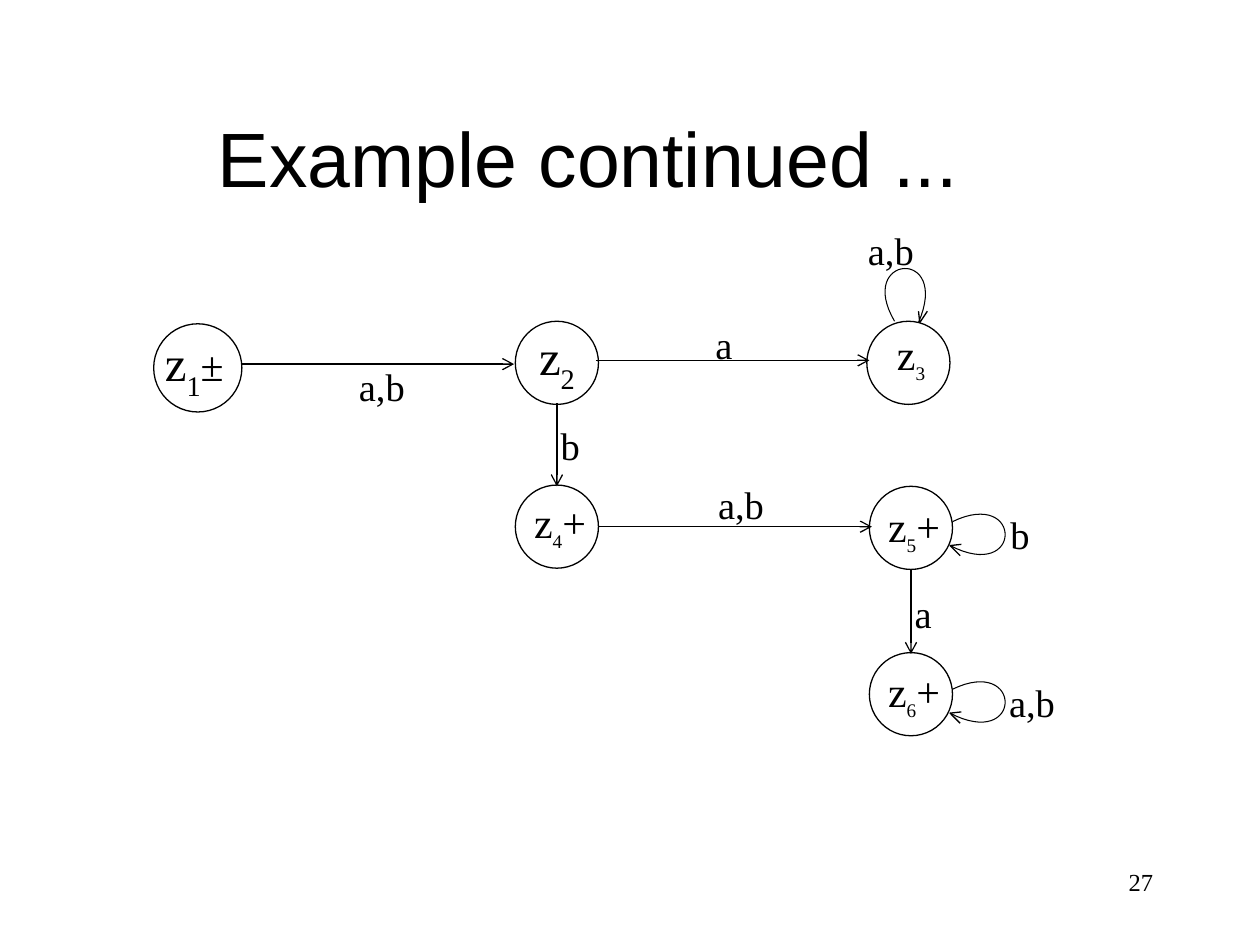
"""Build the slide that shows a six-state automaton."""
import dataclasses

import lxml.etree
import pptx
import pptx.dml.color
import pptx.enum.shapes
import pptx.enum.text
import pptx.oxml.ns
import pptx.util

Inches = pptx.util.Inches
Pt = pptx.util.Pt
Align = pptx.enum.text.PP_ALIGN


@dataclasses.dataclass(frozen=True)
class Theme:
    """Hold the colours, fonts and sizes."""
    ink: pptx.dml.color.RGBColor = pptx.dml.color.RGBColor(0, 0, 0)
    paper: pptx.dml.color.RGBColor = pptx.dml.color.RGBColor(255, 255, 255)
    head: str = "Arial"
    body: str = "Times New Roman"
    title: int = 44
    big: int = 28
    state: int = 24
    label: int = 22
    sub: int = 19
    page: int = 14
    line: float = 0.75
    loop: float = 0.6


class Board:
    """Draw styled elements on the current slide."""

    def __init__(self, theme, slide):
        """Keep the theme and the slide."""
        self.theme = theme
        self.slide = slide
        self.shapes = slide.shapes

    def run(self, para, text, size, font=None, low=False):
        """Add one run, lowered if it is a subscript."""
        run = para.add_run()
        run.text = text
        run.font.size = Pt(size)
        run.font.name = font or self.theme.body
        run.font.color.rgb = self.theme.ink
        if low:
            run.font._element.set("baseline", "-30000")

    def stroke(self, line, width):
        """Style an outline."""
        line.color.rgb = self.theme.ink
        line.width = Pt(width)

    def title(self, text):
        """Fill and place the title."""
        shape = self.shapes.title
        shape.left, shape.top = Inches(0.42), Inches(0.25)
        shape.width, shape.height = Inches(8.5), Inches(1.25)
        frame = shape.text_frame
        frame.auto_size = pptx.enum.text.MSO_AUTO_SIZE.NONE
        frame.vertical_anchor = pptx.enum.text.MSO_ANCHOR.TOP
        frame.margin_top = Inches(0.63)
        para = frame.paragraphs[0]
        para.alignment = Align.CENTER
        self.run(para, text, self.theme.title, self.theme.head)

    def text(self, left, top, wide, high, runs, align=Align.LEFT):
        """Add a text box from (text, size, low) runs."""
        box = self.shapes.add_textbox(
            Inches(left), Inches(top), Inches(wide), Inches(high))
        frame = box.text_frame
        frame.word_wrap = True
        para = frame.paragraphs[0]
        para.alignment = align
        for text, size, low in runs:
            self.run(para, text, size, low=low)

    def label(self, left, top, text):
        """Add the label of an edge."""
        self.text(left, top, 1.01, 0.41, [(text, self.theme.label, False)])

    def circle(self, left, top, size):
        """Add the circle of a state."""
        shape = self.shapes.add_shape(
            pptx.enum.shapes.MSO_SHAPE.OVAL,
            Inches(left), Inches(top), Inches(size), Inches(size))
        shape.shadow.inherit = False
        shape.fill.solid()
        shape.fill.fore_color.rgb = self.theme.paper
        self.stroke(shape.line, self.theme.line)

    def name(self, left, top, index, mark, size, low):
        """Add the name of a state with its subscript and mark."""
        runs = [("z", size, False), (index, low, True)]
        if mark:
            runs.append((mark, self.theme.state, False))
        self.text(left, top, 0.8, 0.46, runs)

    def arrow(self, *ends):
        """Add a straight arrow."""
        link = self.shapes.add_connector(
            pptx.enum.shapes.MSO_CONNECTOR.STRAIGHT, *map(Inches, ends))
        self.stroke(link.line, self.theme.line)
        qn = pptx.oxml.ns.qn
        line = link.line._get_or_add_ln()
        lxml.etree.SubElement(line, qn("a:tailEnd"), type="arrow")
        lxml.etree.SubElement(link._element.spPr, qn("a:effectLst"))

    def trace(self, points, width):
        """Add an open outline through the points."""
        spots = [(Inches(x), Inches(y)) for x, y in points]
        form = self.shapes.build_freeform(*spots[0])
        form.add_line_segments(spots[1:], close=False)
        shape = form.convert_to_shape()
        shape.shadow.inherit = False
        shape.fill.background()
        self.stroke(shape.line, width)

    def loop(self, curve, head):
        """Add a self-loop from a cubic curve and an open head."""
        steps = 32
        points = []
        for step in range(steps + 1):
            t = step / steps
            parts = ((1 - t) ** 3, 3 * t * (1 - t) ** 2,
                     3 * t ** 2 * (1 - t), t ** 3)
            points.append([sum(part * spot[axis]
                               for part, spot in zip(parts, curve))
                           for axis in (0, 1)])
        self.trace(points, self.theme.loop)
        self.trace(head, self.theme.line)


def main():
    """Build and save the slide."""
    deck = pptx.Presentation()
    deck.slide_width, deck.slide_height = Inches(10), Inches(7.5)
    theme = Theme()
    board = Board(theme, deck.slides.add_slide(deck.slide_layouts[5]))
    board.title("Example continued ...")

    for spot in ((1.22, 2.57, 0.7), (4.09, 2.55, 0.66), (6.88, 2.55, 0.66),
                 (4.09, 3.85, 0.66), (6.9, 3.86, 0.66), (6.9, 5.18, 0.66)):
        board.circle(*spot)

    for ends in ((1.92, 2.89, 4.08, 2.89), (4.73, 2.86, 6.9, 2.86),
                 (4.42, 3.2, 4.42, 3.86), (4.75, 4.18, 6.92, 4.18),
                 (7.23, 4.52, 7.23, 5.19)):
        board.arrow(*ends)

    board.loop([(7.1, 2.55), (6.79, 2.02), (7.55, 1.96), (7.29, 2.56)],
               [(7.36, 2.47), (7.3, 2.56), (7.29, 2.47)])
    curve = [(7.56, 0), (8.12, -0.27), (8.12, 0.49), (7.54, 0.19)]
    head = [(7.62, 0.27), (7.54, 0.19), (7.63, 0.18)]
    for top in (4.14, 5.47):
        board.loop(*[[(x, top + y) for x, y in part]
                     for part in (curve, head)])

    for left, top, index, mark, size, low in (
            (1.21, 2.59, "1", "±", theme.big, theme.big),
            (4.18, 2.54, "2", "", theme.big, theme.big),
            (7.02, 2.56, "3", "", theme.state, theme.sub),
            (4.14, 3.89, "4", "+", theme.state, theme.sub),
            (6.95, 3.92, "5", "+", theme.state, theme.sub),
            (6.95, 5.23, "6", "+", theme.state, theme.sub)):
        board.name(left, top, index, mark, size, low)

    for left, top, text in (
            (6.79, 1.75, "a,b"), (5.58, 2.5, "a"), (2.75, 2.83, "a,b"),
            (4.35, 3.3, "b"), (5.6, 3.77, "a,b"), (7.92, 4.01, "b"),
            (7.16, 4.63, "a"), (7.91, 5.34, "a,b")):
        board.label(left, top, text)

    board.text(7.17, 6.83, 2.08, 0.5, [("27", theme.page, False)],
               Align.RIGHT)
    deck.save("out.pptx")


if __name__ == "__main__":
    main()
